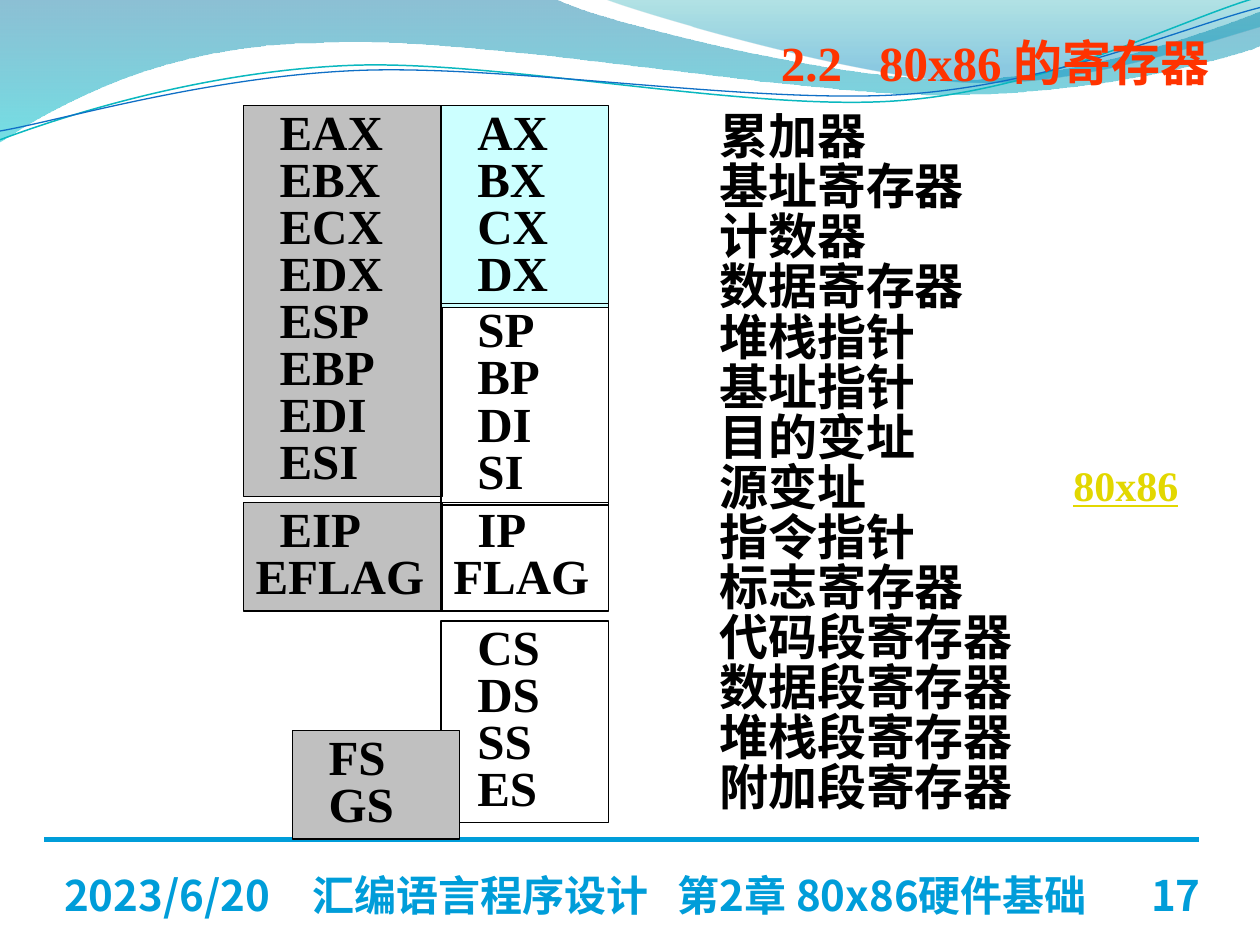
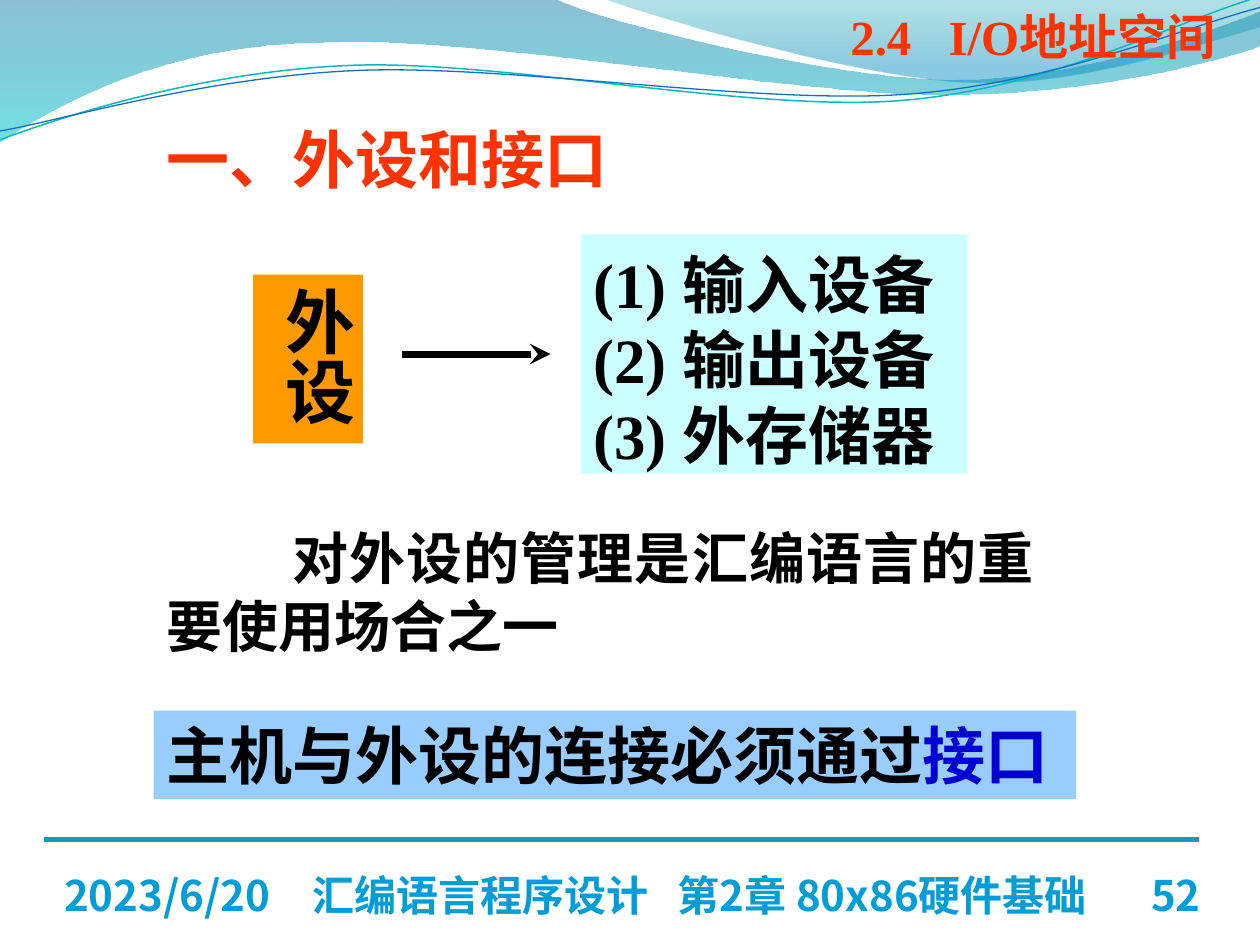
"""Build two slides of an assembly language course on registers and I/O."""
from dataclasses import dataclass

from lxml.etree import SubElement
from pptx import Presentation
from pptx.dml.color import RGBColor
from pptx.enum.shapes import MSO_CONNECTOR, MSO_SHAPE
from pptx.enum.text import MSO_ANCHOR, PP_ALIGN
from pptx.oxml.ns import qn
from pptx.util import Inches, Length, Pt

SLIDE_WIDTH, SLIDE_HEIGHT = Inches(10), Inches(7.5)
CELL = SLIDE_WIDTH / 10
SERIF, SANS, FOOTER_FONT = "Times New Roman", "Noto Sans CJK SC", "Noto Sans CJK JP"
COLORS = {
    "black": "000000", "white": "FFFFFF", "title": "FF3300", "footer": "009DD9",
    "grey": "C0C0C0", "cyan": "CCFFFF", "sky": "99CCFF", "orange": "FF9900",
    "blue": "0000D6", "yellow": "E2D700", "deep": "0074A1", "aqua": "00C6CF",
    "teal": "00A1A9", "sea": "008BBF", "teal_line": "0AB8BF", "blue_line": "0F6FC6",
}
SPACE = 0.19
TITLE_TAB, FOOTER_TAB = 0.78, 2.9


@dataclass(frozen=True)
class Wave:
    start: tuple[float, float]
    steps: tuple[tuple[float, ...], ...]
    stops: tuple[tuple[int, str, int], ...] = ()
    line: str | None = None
    width: float = 0.75


@dataclass(frozen=True)
class Run:
    text: str
    color: str = "black"
    underline: bool = False


@dataclass(frozen=True)
class Line:
    runs: tuple[Run, ...]
    indent: float = 0
    first: float = 0
    tab: float = 0


@dataclass(frozen=True)
class Box:
    column: float
    row: float
    columns: float
    rows: float
    lines: tuple[Line, ...]
    size: float = 28
    font: str = SERIF
    asian_font: str = SANS
    fill: str | None = None
    border: str | None = None
    spacing: float | Length | None = None
    align: PP_ALIGN = PP_ALIGN.LEFT
    anchor: MSO_ANCHOR = MSO_ANCHOR.MIDDLE
    inset: tuple[float, float] = (0.1, 0.05)
    drop: float = 0
    vertical: bool = False


WAVES = (
    Wave((0, -0.01), (
        (4.4, -0.01), (4.76, 0.17, 6.64, 0.63, 7.58, 0.63),
        (8.53, 0.63, 9.58, 0.26, 10, 0.09), (10.01, 0.36),
        (9.83, 0.44, 8.7, 0.76, 7.46, 0.75), (6.22, 0.75, 3.82, 0.28, 2.57, 0.34),
        (1.29, 0.35, 0.46, 0.83, -0.01, 1.13), (0, -0.01),
    ), stops=((0, "deep", 45), (100, "aqua", 55))),
    Wave((4.79, -0.01), (
        (5.09, 0.11, 6.82, 0.62, 7.69, 0.65), (8.56, 0.69, 9.61, 0.32, 10, 0.21),
        (10, 0), (4.79, -0.01),
    ), stops=((0, "teal", 30), (80, "sea", 45))),
    Wave((0, 1.11), (
        (0.48, 0.93, 1.58, 0.57, 2.77, 0.52), (3.95, 0.47, 5.93, 0.89, 7.13, 0.8),
        (8.33, 0.71, 9.38, 0.15, 9.98, -0.02),
    ), line="teal_line", width=0.85),
    Wave((0, 1.04), (
        (0.47, 0.96, 1.64, 0.61, 2.83, 0.56), (4.03, 0.51, 5.97, 0.83, 7.17, 0.75),
        (8.36, 0.67, 9.41, 0.21, 10, 0.06),
    ), line="blue_line"),
)


def cells(count: float) -> int:
    """Return the length of a number of grid cells."""
    return round(count * CELL)


def rgb(name: str) -> RGBColor:
    """Return a named colour."""
    return RGBColor.from_string(COLORS[name])


def plain(text: str, color: str = "black", **layout: float) -> Line:
    """Return a paragraph holding a single run."""
    return Line((Run(text, color),), **layout)


def bend(shape, wave: Wave) -> None:
    """Turn the straight segments of a freeform into the cubic steps of its wave."""
    segments = list(shape._element.iter(qn("a:lnTo")))
    for segment, step in zip(segments, wave.steps):
        if len(step) == 6:
            curve = segment.makeelement(qn("a:cubicBezTo"), {})
            for x, y in zip(step[::2], step[1::2]):
                SubElement(curve, qn("a:pt"), x=str(cells(x) - shape.left),
                           y=str(cells(y) - shape.top))
            segment.getparent().replace(segment, curve)


def fade(shape, stops: tuple[tuple[int, str, int], ...]) -> None:
    """Fill a shape from top to bottom with a translucent gradient."""
    shape.fill.background()
    properties = shape._element.spPr
    empty = properties.find(qn("a:noFill"))
    gradient = empty.makeelement(qn("a:gradFill"), {"rotWithShape": "1"})
    properties.replace(empty, gradient)
    stop_list = SubElement(gradient, qn("a:gsLst"))
    for position, color, opacity in stops:
        stop = SubElement(stop_list, qn("a:gs"), pos=str(position * 1000))
        tone = SubElement(stop, qn("a:srgbClr"), val=COLORS[color])
        SubElement(tone, qn("a:alpha"), val=str(opacity * 1000))
    SubElement(gradient, qn("a:lin"), ang="5400000", scaled="1")


def draw_outline(shape, color: str | None, width: float = 0.75) -> None:
    """Give a shape a coloured outline or none."""
    if color:
        shape.line.color.rgb = rgb(color)
        shape.line.width = Pt(width)
    else:
        shape.line.fill.background()


def draw_wave(slide, wave: Wave) -> None:
    """Draw one wave of the header."""
    builder = slide.shapes.build_freeform(cells(wave.start[0]), cells(wave.start[1]))
    ends = [(cells(step[-2]), cells(step[-1])) for step in wave.steps]
    builder.add_line_segments(ends, close=bool(wave.stops))
    shape = builder.convert_to_shape()
    bend(shape, wave)
    shape.shadow.inherit = False
    if wave.stops:
        fade(shape, wave.stops)
    else:
        shape.fill.background()
    draw_outline(shape, wave.line, wave.width)


def draw_rule(slide, start: float, end: float, row: float, color: str,
              width: float, arrow: bool = False) -> None:
    """Draw a horizontal line, optionally ending in an arrowhead."""
    connector = slide.shapes.add_connector(
        MSO_CONNECTOR.STRAIGHT, cells(start), cells(row), cells(end), cells(row))
    connector.line.color.rgb = rgb(color)
    connector.line.width = Pt(width)
    if arrow:
        SubElement(connector.line._get_or_add_ln(), qn("a:tailEnd"), type="stealth")
    SubElement(connector._element.spPr, qn("a:effectLst"))


def write_line(paragraph, line: Line, box: Box) -> None:
    """Write one paragraph with its indents, tab stop and runs."""
    paragraph.alignment = box.align
    if box.spacing:
        paragraph.line_spacing = box.spacing
    properties = paragraph._p.get_or_add_pPr()
    if line.indent or line.first:
        properties.set("marL", str(cells(line.indent)))
        properties.set("indent", str(cells(line.first)))
    if line.tab:
        tabs = SubElement(properties, qn("a:tabLst"))
        SubElement(tabs, qn("a:tab"), pos=str(cells(line.tab)), algn="l")
    for part in line.runs:
        run = paragraph.add_run()
        run.text = part.text
        run.font.name = box.font
        run.font.size = Pt(box.size)
        run.font.bold = True
        run.font.color.rgb = rgb(part.color)
        if part.underline:
            run.font.underline = True
        SubElement(run._r.get_or_add_rPr(), qn("a:ea"), typeface=box.asian_font)


def draw_box(slide, box: Box) -> None:
    """Draw a text box, or a rectangle when it has a fill or border."""
    place = [cells(value) for value in (box.column, box.row, box.columns, box.rows)]
    if box.fill or box.border:
        shape = slide.shapes.add_shape(MSO_SHAPE.RECTANGLE, *place)
        shape.shadow.inherit = False
        draw_outline(shape, box.border)
        if box.fill:
            shape.fill.solid()
            shape.fill.fore_color.rgb = rgb(box.fill)
        else:
            shape.fill.background()
    else:
        shape = slide.shapes.add_textbox(*place)
    frame = shape.text_frame
    frame.word_wrap = True
    frame.vertical_anchor = box.anchor
    frame.margin_left = frame.margin_right = cells(box.inset[0])
    frame.margin_top = cells(box.inset[1] + box.drop)
    frame.margin_bottom = cells(box.inset[1])
    if box.vertical:
        frame._txBody.bodyPr.set("vert", "eaVert")
    for index, line in enumerate(box.lines):
        paragraph = frame.add_paragraph() if index else frame.paragraphs[0]
        write_line(paragraph, line, box)


def footer(column: float, columns: float, text: str, align: PP_ALIGN = PP_ALIGN.LEFT,
           tab: float = 0) -> Box:
    """Return one part of the footer."""
    return Box(column, 6.9, columns, 0.4, (plain(text, "footer", tab=tab),), 24, FOOTER_FONT,
               FOOTER_FONT, align=align, anchor=MSO_ANCHOR.BOTTOM, inset=(0, 0))


def title(column: float, row: float, columns: float, text: str) -> Box:
    """Return the section title of a slide."""
    return Box(column, row, columns, 0.57, (plain(text, "title", tab=TITLE_TAB),))


def registers(column: float, row: float, columns: float, rows: float, names: str,
              fill: str | None = None) -> Box:
    """Return a bordered block of register names, with flags set flush left."""
    lines = tuple(plain(name, indent=0 if "FLAG" in name else SPACE)
                  for name in names.split())
    return Box(column, row, columns, rows, lines, fill=fill, border="black", spacing=0.8)


def add_slide(presentation, number: str, boxes: tuple[Box, ...]):
    """Add a slide with the shared header and footer and its own boxes."""
    slide = presentation.slides.add_slide(presentation.slide_layouts[6])
    for wave in WAVES:
        draw_wave(slide, wave)
    draw_rule(slide, 0.35, 9.52, 6.66, "footer", 3)
    shared = (footer(8.7, 0.83, number, PP_ALIGN.RIGHT),
              footer(0.51, 2.33, "2023/6/20"),
              footer(2.48, 6.69, "汇编语言程序设计\t第2章 80x86硬件基础", tab=FOOTER_TAB))
    for box in boxes + shared:
        draw_box(slide, box)
    return slide


ROLES = ("累加器 基址寄存器 计数器 数据寄存器 堆栈指针 基址指针 目的变址 源变址 指令指针 "
         "标志寄存器 代码段寄存器 数据段寄存器 堆栈段寄存器 附加段寄存器").split()
WIDE, NARROW = (1.93, 1.58), (3.5, 1.33)
FOUR_ROWS, TWO_ROWS = 1.6, 0.86

REGISTER_BOXES = (
    title(6.1, 0.21, 3.8, "2.2\t80x86 的寄存器"),
    Box(5.42, 0.83, 3, 5.68, tuple(plain(role, indent=SPACE) for role in ROLES),
        border="white", spacing=Pt(28.6), inset=(0.1, 0), drop=0.04),
    registers(WIDE[0], 0.84, WIDE[1], 3.1, "EAX EBX ECX EDX ESP EBP EDI ESI", "grey"),
    registers(NARROW[0], 0.84, NARROW[1], FOUR_ROWS, "AX BX CX DX", "cyan"),
    registers(NARROW[0], 2.41, NARROW[1], FOUR_ROWS, "SP BP DI SI"),
    registers(WIDE[0], 3.99, WIDE[1], TWO_ROWS, "EIP EFLAG", "grey"),
    registers(NARROW[0], 3.99, NARROW[1], TWO_ROWS, "IP FLAG"),
    registers(NARROW[0], 4.93, NARROW[1], FOUR_ROWS, "CS DS SS ES"),
    registers(2.32, 5.8, NARROW[1], TWO_ROWS, "FS GS", "grey"),
    Box(8.42, 3.59, 1.1, 0.51, (Line((Run("80x86", "yellow", True),)),), 24),
)

DEVICE_BOXES = (
    title(6.65, 0, 3.35, "2.4\tI/O地址空间"),
    Box(4.61, 1.86, 3.07, 1.9,
        tuple(plain(f"({index}) {device}") for index, device
              in enumerate(("输入设备", "输出设备", "外存储器"), 1)),
        36, fill="cyan", spacing=Pt(42.9), align=PP_ALIGN.JUSTIFY, inset=(0.1, 0), drop=0.08),
    Box(1.22, 0.91, 4.17, 0.7, (plain("一、外设和接口", "title"),), 36),
    Box(1.22, 5.64, 7.32, 0.7,
        (Line((Run("主机与外设的连接必须通过"), Run("接口", "blue"))),),
        36, SANS, fill="sky", align=PP_ALIGN.JUSTIFY),
    Box(2.01, 2.18, 0.87, 1.34, (plain("外设"),), 40, fill="orange", spacing=Pt(46),
        align=PP_ALIGN.JUSTIFY, anchor=MSO_ANCHOR.TOP, vertical=True),
    Box(1.22, 4.06, 7.09, 1.17,
        (plain("对外设的管理是汇编语言的重要使用场合之一", first=1),),
        32, spacing=Pt(38.6), align=PP_ALIGN.JUSTIFY, inset=(0.1, 0), drop=0.09),
)


def main() -> None:
    """Build and save the presentation."""
    presentation = Presentation()
    presentation.slide_width, presentation.slide_height = SLIDE_WIDTH, SLIDE_HEIGHT
    add_slide(presentation, "17", REGISTER_BOXES)
    device_slide = add_slide(presentation, "52", DEVICE_BOXES)
    draw_rule(device_slide, 3.19, 4.37, 2.81, "black", 4, arrow=True)
    presentation.save("out.pptx")


if __name__ == "__main__":
    main()
